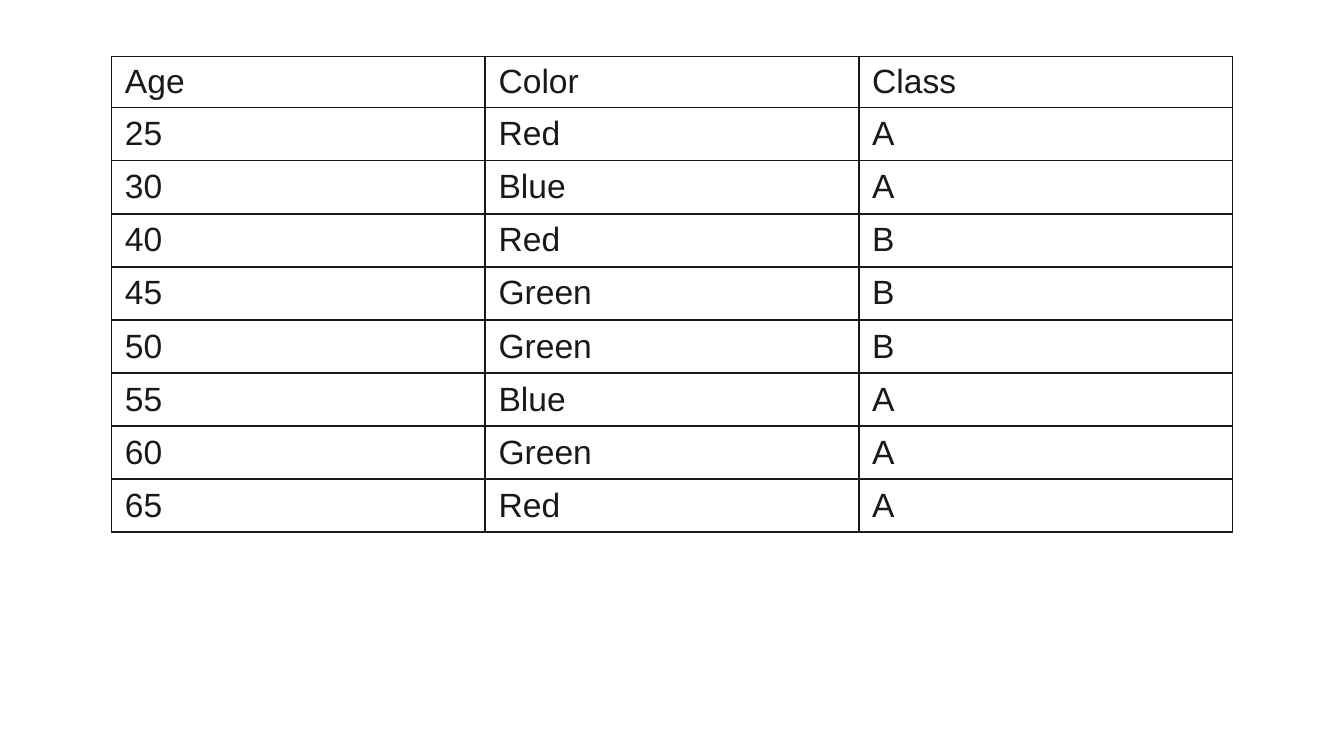
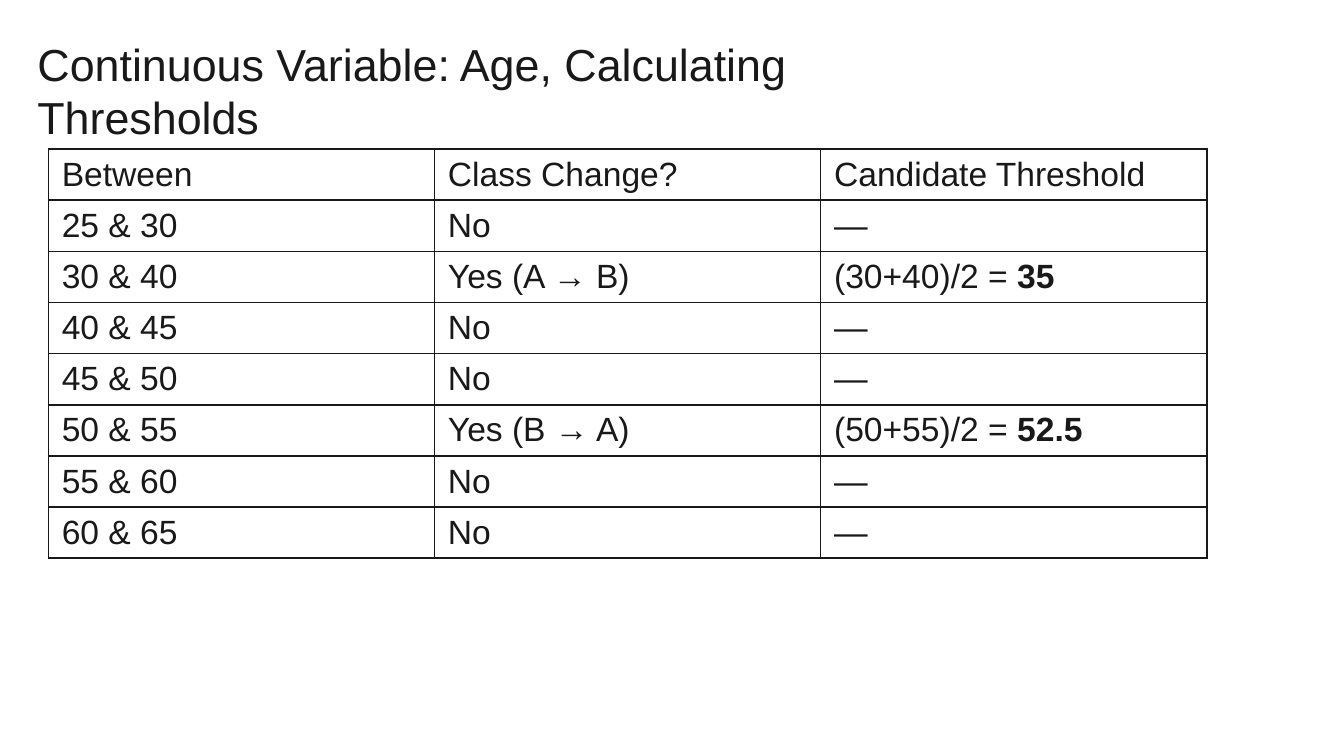
from itertools import pairwise

from lxml.etree import SubElement
from pptx import Presentation
from pptx.dml.color import RGBColor
from pptx.enum.text import MSO_ANCHOR as Anchor
from pptx.oxml.ns import qn
from pptx.util import Inches, Pt

INK = "191919"
HEADER_H = 0.38
BODY = {"name": "Arial", "size": Pt(18)}
TITLE = {"name": "Arial", "size": Pt(24)}


def add_run(p, text, fmt):
    r = p.add_run()
    r.text = text
    for key, value in fmt.items():
        setattr(r.font, key, value)
    r.font.color.rgb = RGBColor.from_string(INK)


def add_grid(s, left, top, width, height, rows):
    n_cols = len(rows[0])
    row_h = (height - HEADER_H) / (len(rows) - 1)
    frame = s.shapes.add_table(len(rows), n_cols, Inches(left), Inches(top),
                               Inches(width), Inches(height))
    tbl = frame.table
    tbl.first_row = tbl.horz_banding = False
    for i, row in enumerate(rows):
        tbl.rows[i].height = Inches(row_h if i else HEADER_H)
        for j, runs in enumerate(row):
            cell = tbl.cell(i, j)
            cell.vertical_anchor = Anchor.MIDDLE
            tcPr = cell._tc.get_or_add_tcPr()
            for side in "LRTB":
                ln = SubElement(tcPr, qn(f"a:ln{side}"), w=str(Pt(1)))
                fill = SubElement(ln, qn("a:solidFill"))
                SubElement(fill, qn("a:srgbClr"), val=INK)
            cell.fill.background()
            for k, text in enumerate(runs):
                add_run(cell.text_frame.paragraphs[0], text, BODY | {"bold": k > 0})


prs = Presentation()
prs.slide_width = Inches(10)
prs.slide_height = prs.slide_width * 9 // 16
blank = prs.slide_layouts[6]

samples = [
    (25, "Red", "A"),
    (30, "Blue", "A"),
    (40, "Red", "B"),
    (45, "Green", "B"),
    (50, "Green", "B"),
    (55, "Blue", "A"),
    (60, "Green", "A"),
    (65, "Red", "A"),
]

s = prs.slides.add_slide(blank)
rows = [[[str(v)] for v in row] for row in [("Age", "Color", "Class"), *samples]]
add_grid(s, 0.83, 0.42, 8.34, 3.54, rows)

s = prs.slides.add_slide(blank)
rows = [[["Between"], ["Class Change?"], ["Candidate Threshold"]]]
for (age, _, cls), (next_age, _, next_cls) in pairwise(samples):
    change, threshold = ["No"], ["—"]
    if cls != next_cls:
        change = [f"Yes ({cls} → {next_cls})"]
        threshold = [f"({age}+{next_age})/2 = ", f"{(age + next_age) / 2:g}"]
    rows.append([[f"{age} & {next_age}"], change, threshold])
add_grid(s, 0.36, 1.11, 8.62, 3.04, rows)

tf = s.shapes.add_textbox(Inches(0.18), Inches(0.17), Inches(6.82), Inches(0.61)).text_frame
tf.word_wrap = True
for side in ("left", "right", "top", "bottom"):
    setattr(tf, f"margin_{side}", Inches(0.1))
add_run(tf.paragraphs[0], "Continuous Variable: Age, Calculating Thresholds", TITLE)

prs.save("out.pptx")
